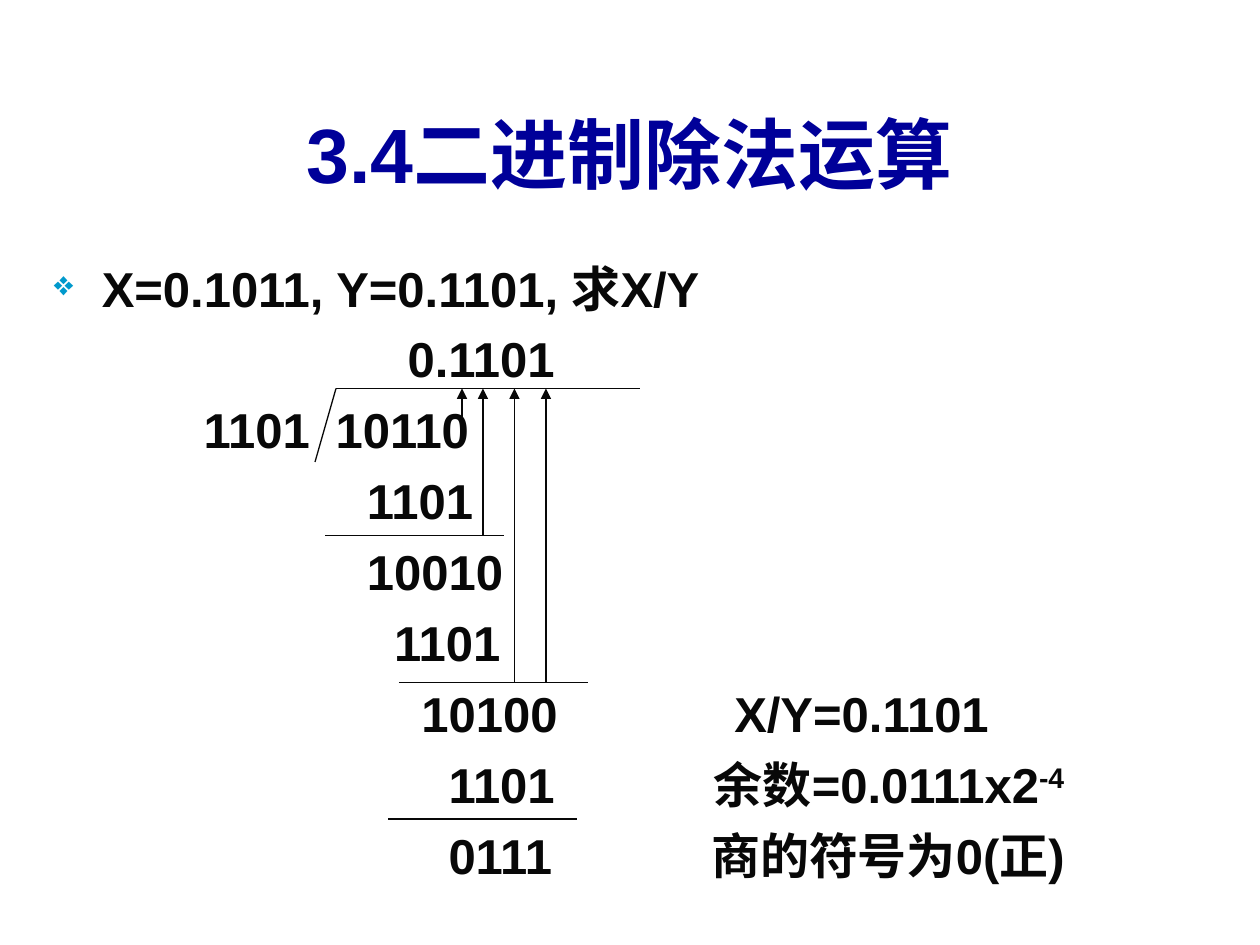
from pptx import Presentation, util as u
from pptx.dml.color import RGBColor
from pptx.enum import shapes, text
from pptx.oxml.ns import qn
from lxml import etree

NAVY = RGBColor(0x00, 0x00, 0x99)
INK = RGBColor(0x08, 0x08, 0x08)
BLUE = "0099CC"
COL = 0.108   # width of one space at 28 pt
GRID = 12     # line grid: twelfths of an inch

deck = Presentation()
deck.slide_width, deck.slide_height = u.Inches(10), u.Inches(7.5)
page = deck.slides.add_slide(deck.slide_layouts[6])


def box(top, high, anchor):
    frame = page.shapes.add_textbox(
        u.Inches(0.33), u.Inches(top), u.Inches(9.34), u.Inches(high)).text_frame
    frame.word_wrap, frame.vertical_anchor = True, anchor
    return frame


def write(para, words, **form):
    run = para.add_run()
    run.text = words
    run.font.color.rgb = form.pop("ink", INK)
    base = {"name": "Arial", "size": u.Pt(28), "bold": True}
    for key, val in {**base, **form}.items():
        setattr(run.font, key, val)
    return run


# Title
para = box(0.75, 0.92, text.MSO_ANCHOR.MIDDLE).paragraphs[0]
para.alignment = text.PP_ALIGN.CENTER
write(para, "3.4二进制除法运算", size=u.Pt(44), ink=NAVY)

# Long division: each row holds (column, words) pairs
rows = [
    [(0, "X=0.1011, Y=0.1101, 求X/Y")],
    [(26, "0.1101")],
    [(11, "1101"), (20.7, "10110")],
    [(23, "1101")],
    [(23, "10010")],
    [(25, "1101")],
    [(27, "10100"), (50, "X/Y=0.1101")],
    [(29, "1101"), (48.5, "余数=0.0111x2")],
    [(29, "0111"), (48.3, "商的符号为0(正)")],
]
body = box(2, 5.08, text.MSO_ANCHOR.TOP)
paras = [body.paragraphs[0]] + [body.add_paragraph() for _ in rows[1:]]
for para, row in zip(paras, rows):
    para.space_before, para.line_spacing = u.Pt(7), u.Pt(33.5)
    stops = [col for col, _ in row if col]
    write(para, "\t" * bool(stops) + "\t".join(words for _, words in row))
    if stops:
        tabs = etree.SubElement(para._p.get_or_add_pPr(), qn("a:tabLst"))
        for col in stops:
            etree.SubElement(tabs, qn("a:tab"), pos=str(u.Inches(col * COL)), algn="l")

# Exponent of the remainder
write(paras[7], "-4").font._element.set("baseline", "30000")

# Bullet of the first row
props = paras[0]._p.get_or_add_pPr()
props.set("marL", str(u.Inches(0.38)))
props.set("indent", str(u.Inches(-0.38)))
tint = etree.SubElement(props, qn("a:buClr"))
etree.SubElement(tint, qn("a:srgbClr"), val=BLUE)
etree.SubElement(props, qn("a:buSzPct"), val="70000")
etree.SubElement(props, qn("a:buChar"), char="❖")

# Rules, then arrows up to the quotient: x1, y1, x2, y2 on the grid
rules = [(32, 37, 61, 37), (32, 37, 30, 44), (31, 51, 48, 51),
         (38, 65, 56, 65), (37, 78, 55, 78)]
ups = [(x, y, x, 37) for x, y in [(44, 40), (46, 51), (49, 65), (52, 65)]]
for ends in rules + ups:
    line = page.shapes.add_connector(
        shapes.MSO_CONNECTOR.STRAIGHT, *[u.Inches(n / GRID) for n in ends])
    line.line.color.rgb, line.line.width = INK, u.Pt(0.75)
    if ends in ups:
        etree.SubElement(line.line._get_or_add_ln(), qn("a:tailEnd"), type="triangle")
    etree.SubElement(line._element.spPr, qn("a:effectLst"))

deck.save("out.pptx")
